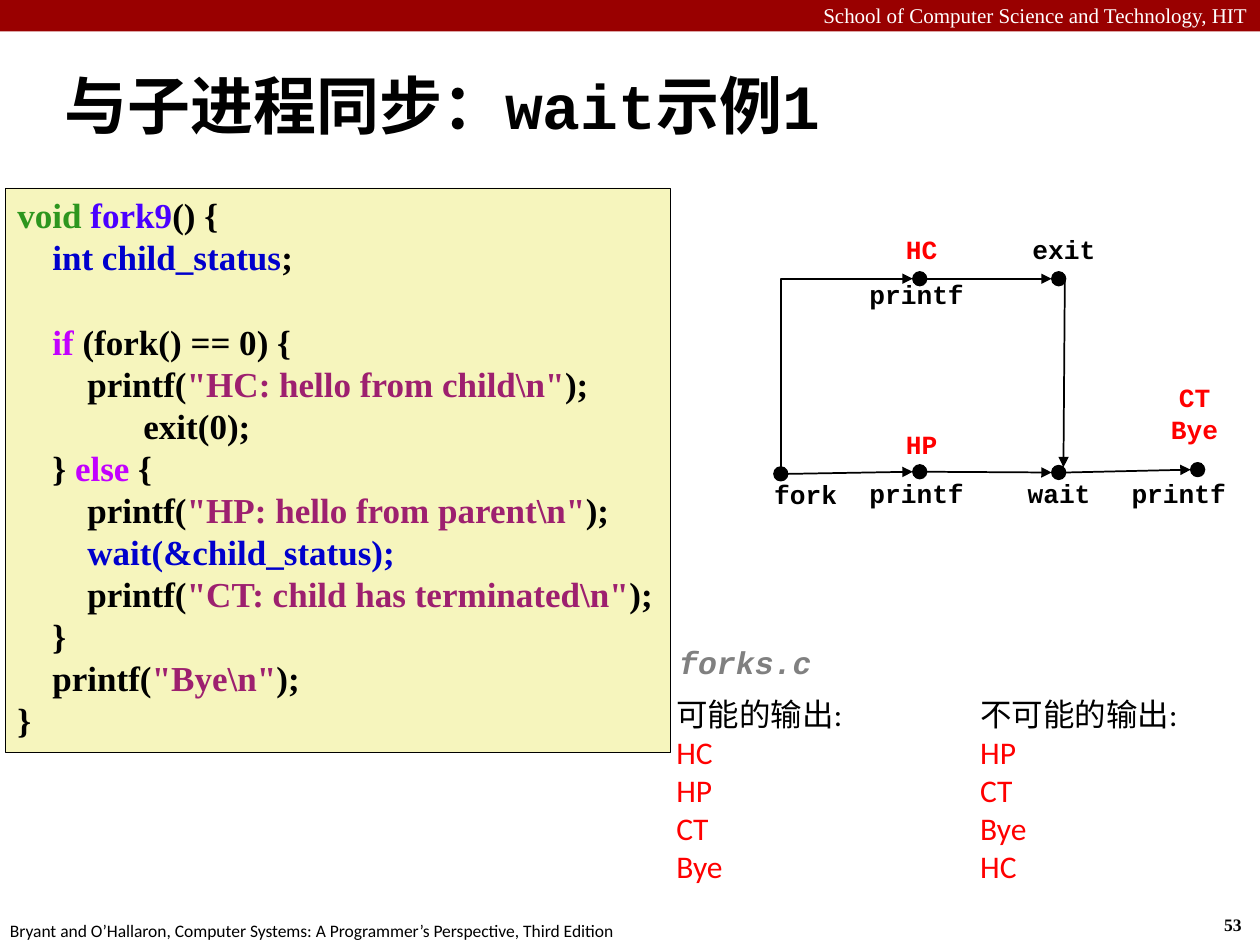
from itertools import pairwise

from lxml.etree import SubElement
from pptx import Presentation
from pptx.dml.color import RGBColor
from pptx.enum.shapes import MSO_CONNECTOR as Connector, MSO_SHAPE as Shape
from pptx.enum.text import MSO_ANCHOR as Anchor, PP_ALIGN as Align
from pptx.oxml.ns import qn
from pptx.util import Pt

COLORS = {
    "black": "000000", "white": "FFFFFF", "banner": "990000", "code": "F6F5BD",
    "type": "2D961E", "function": "4A00FF", "keyword": "C200FF",
    "blue": "0000CC", "string": "9D206F", "red": "FF0000", "gray": "808080",
}
SERIF, SANS, MONO = "Times New Roman", "Calibri", "Courier New"

HEADER = "School of Computer Science and Technology, HIT"
FOOTER = "Bryant and O’Hallaron, Computer Systems: A Programmer’s Perspective, Third Edition"
TITLE = [("与子进程同步：", SANS), ("wait示例1", MONO)]

CODE_LINE = 24
CODE = [
    (0, 0, [("void ", "type"), ("fork9", "function"), ("() {", "black")]),
    (20, 0, [("int child_status", "blue"), (";", "black")]),
    (20, CODE_LINE, [("if", "keyword"), (" (fork() == 0) {", "black")]),
    (40, 0, [("printf(", "black"), ('"HC: hello from child\\n"', "string"), (");", "black")]),
    (72, 0, [("exit(0);", "black")]),
    (20, 0, [("} ", "black"), ("else", "keyword"), (" {", "black")]),
    (40, 0, [("printf(", "black"), ('"HP: hello from parent\\n"', "string"), (");", "black")]),
    (40, 0, [("wait(&child_status);", "blue")]),
    (40, 0, [("printf(", "black"), ('"CT: child has terminated\\n"', "string"), (");", "black")]),
    (20, 0, [("}", "black")]),
    (20, 0, [("printf(", "black"), ('"Bye\\n"', "string"), (");", "black")]),
    (0, 0, [("}", "black")]),
]

OUTPUTS = [
    (379.4, "可能的输出:", ["HC", "HP", "CT", "Bye"]),
    (553, "不可能的输出:", ["HP", "CT", "Bye", "HC"]),
]

DOT = 8
FIRST_X, STEP_X = 446.2, 79.4
PARENT_DOTS = [(0, 270.8), (1, 269.6), (2, 270), (3, 268.4)]
CHILD_DOTS = [(1, 159.3), (2, 159.3)]
LABELS = [
    (460.4, 270, ["fork"], "black"),
    (523.8, 269.3, ["printf"], "black"),
    (605.2, 269.3, ["wait"], "black"),
    (673.6, 269.3, ["printf"], "black"),
    (523.8, 155.5, ["printf"], "black"),
    (608, 130, ["exit"], "black"),
    (526.7, 241.2, ["HP"], "red"),
    (526.7, 130, ["HC"], "red"),
    (682.6, 214.6, ["CT", "Bye"], "red"),
]


def rgb(name):
    return RGBColor.from_string(COLORS[name])


def add_run(paragraph, text, size, font, color="black", bold=False, italic=False):
    run = paragraph.add_run()
    run.text = text
    run.font.size = Pt(size)
    run.font.name = font
    run.font.bold = bold
    run.font.italic = italic
    run.font.color.rgb = rgb(color)


def add_paragraphs(frame, count):
    return [frame.paragraphs[0]] + [frame.add_paragraph() for _ in range(count - 1)]


def add_text_box(slide, left, top, width, height):
    frame = slide.shapes.add_textbox(Pt(left), Pt(top), Pt(width), Pt(height)).text_frame
    frame.word_wrap = True
    return frame


def add_filled_shape(slide, kind, left, top, width, height, fill, line_width=None):
    shape = slide.shapes.add_shape(kind, Pt(left), Pt(top), Pt(width), Pt(height))
    shape.shadow.inherit = False
    shape.fill.solid()
    shape.fill.fore_color.rgb = rgb(fill)
    if line_width is None:
        shape.line.fill.background()
    else:
        shape.line.color.rgb = rgb("black")
        shape.line.width = Pt(line_width)
    return shape


def add_arrow(slide, start, end, kind=Connector.STRAIGHT):
    points = [Pt(value) for value in (*start, *end)]
    arrow = slide.shapes.add_connector(kind, *points)
    arrow.line.color.rgb = rgb("black")
    arrow.line.width = Pt(1)
    SubElement(arrow.line._get_or_add_ln(), qn("a:tailEnd"), type="triangle")
    SubElement(arrow._element.spPr, qn("a:effectLst"))
    return arrow


def add_corner_arrow(slide, start, end):
    center_x, center_y = (start[0] + end[0]) / 2, (start[1] + end[1]) / 2
    half_width, half_height = abs(start[1] - end[1]) / 2, abs(start[0] - end[0]) / 2
    arrow = add_arrow(
        slide,
        (center_x + half_width, center_y + half_height),
        (center_x - half_width, center_y - half_height),
        Connector.ELBOW,
    )
    properties = arrow._element.spPr
    properties.find(qn("a:xfrm")).set("rot", "5400000")
    properties.find(qn("a:prstGeom")).set("prst", "bentConnector2")


def add_frame_and_title(slide):
    add_filled_shape(slide, Shape.RECTANGLE, 0, 0, 720, 18, "banner")
    header = add_text_box(slide, 0, -2, 720, 21.6).paragraphs[0]
    header.alignment = Align.RIGHT
    add_run(header, HEADER, 12, SERIF, "white")
    number = add_text_box(slide, 692.4, 519, 27, 19.4).paragraphs[0]
    add_run(number, "53", 10, SERIF, bold=True)
    footer = add_text_box(slide, -1.4, 522, 380, 19.4).paragraphs[0]
    add_run(footer, FOOTER, 10, SANS)
    frame = add_text_box(slide, 29.5, 29.5, 684.7, 59.8)
    frame.vertical_anchor = Anchor.MIDDLE
    for text, font in TITLE:
        add_run(frame.paragraphs[0], text, 36, font, bold=True)


def add_code(slide):
    box = add_filled_shape(slide, Shape.RECTANGLE, 2.9, 107.3, 380, 322.6, "code", 0.25)
    frame = box.text_frame
    frame.word_wrap = True
    frame.vertical_anchor = Anchor.TOP
    frame.margin_right = 0
    for paragraph, (indent, gap, runs) in zip(add_paragraphs(frame, len(CODE)), CODE):
        paragraph.alignment = Align.LEFT
        paragraph.line_spacing = Pt(CODE_LINE)
        paragraph.space_before = Pt(gap)
        paragraph._p.get_or_add_pPr().set("marL", str(Pt(indent)))
        for text, color in runs:
            add_run(paragraph, text, 20, SERIF, color, bold=True)


def add_process_graph(slide):
    parent, child = (
        [(FIRST_X + STEP_X * column, y) for column, y in dots]
        for dots in (PARENT_DOTS, CHILD_DOTS)
    )
    radius = DOT / 2
    for x, y in parent + child:
        add_filled_shape(slide, Shape.OVAL, x - radius, y - radius, DOT, DOT, "black", 0.75)
    for row in (parent, child):
        for (x1, y1), (x2, y2) in pairwise(row):
            add_arrow(slide, (x1 + radius, y1), (x2 - radius, y2))
    fork, wait = parent[0], parent[2]
    first_printf, leave = child
    add_corner_arrow(slide, (fork[0], fork[1] - radius), (first_printf[0] - radius, first_printf[1]))
    add_arrow(slide, (leave[0] + 3.5, leave[1]), (wait[0] + 2.7, wait[1] - 3))
    for center, top, lines, color in LABELS:
        frame = add_text_box(slide, center - 40, top, 80, 11 + 18 * len(lines))
        for paragraph, text in zip(add_paragraphs(frame, len(lines)), lines):
            paragraph.alignment = Align.CENTER
            paragraph.line_spacing = Pt(18)
            add_run(paragraph, text, 15, MONO, color, bold=True)


def add_outputs(slide):
    file_name = add_text_box(slide, 381, 365.8, 95, 28).paragraphs[0]
    file_name.line_spacing = 0.94
    add_run(file_name, "forks.c", 18, MONO, "gray", bold=True, italic=True)
    for left, heading, lines in OUTPUTS:
        frame = add_text_box(slide, left, 393.8, 140, 116.6)
        first, *rest = add_paragraphs(frame, len(lines) + 1)
        add_run(first, heading, 18, SANS)
        for paragraph, text in zip(rest, lines):
            add_run(paragraph, text, 18, SANS, "red")


def main():
    presentation = Presentation()
    presentation.slide_width, presentation.slide_height = Pt(720), Pt(540)
    slide = presentation.slides.add_slide(presentation.slide_layouts[6])
    add_frame_and_title(slide)
    add_code(slide)
    add_process_graph(slide)
    add_outputs(slide)
    presentation.save("out.pptx")


if __name__ == "__main__":
    main()
